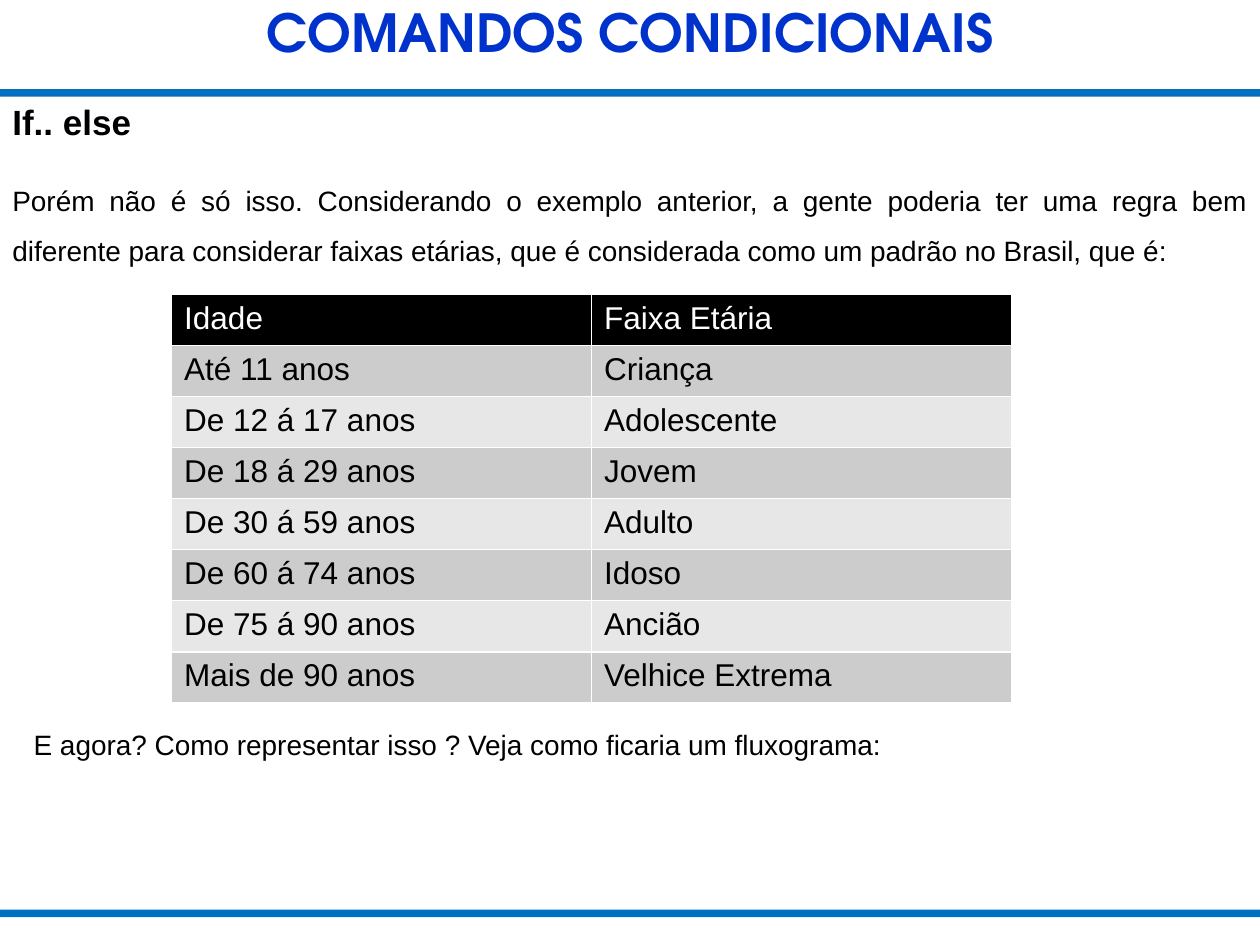
from dataclasses import dataclass

from pptx import Presentation
from pptx.dml.color import RGBColor as Color
from pptx.enum.shapes import MSO_SHAPE as Shape
from pptx.enum.text import MSO_AUTO_SIZE as AutoSize, PP_ALIGN as Align
from pptx.util import Cm, Pt


@dataclass(frozen=True)
class Theme:
    bar: str = "0070C0"
    title: str = "0033CC"
    text: str = "000000"
    header_fill: str = "000000"
    header_text: str = "FFFFFF"
    bands: tuple = ("CCCCCC", "E7E7E7")
    title_font: str = "TeX Gyre Adventor"
    body_font: str = "Arial"
    title_size: int = 30
    heading_size: int = 20
    table_size: int = 18
    body_size: int = 16


class SlideBuilder:
    def __init__(self, slide, theme):
        self.slide = slide
        self.theme = theme

    def style(self, para, size, color, font=None, bold=False):
        para.font.name = font or self.theme.body_font
        para.font.size = Pt(size)
        para.font.bold = bold
        para.font.color.rgb = Color.from_string(color)

    def bar(self, top):
        bar = self.slide.shapes.add_shape(Shape.RECTANGLE, 0, Cm(top), Cm(25.4), Cm(0.15))
        bar.shadow.inherit = False
        bar.fill.solid()
        bar.fill.fore_color.rgb = Color.from_string(self.theme.bar)
        bar.line.fill.background()

    def text_box(self, text, left, top, width, height, wrap=True):
        box = self.slide.shapes.add_textbox(Cm(left), Cm(top), Cm(width), Cm(height))
        frame = box.text_frame
        frame.word_wrap = wrap
        frame.auto_size = AutoSize.SHAPE_TO_FIT_TEXT
        frame.text = text
        return frame

    def title(self, text):
        frame = self.text_box(text, 0, 0, 25.4, 1.27)
        frame.margin_left = frame.margin_right = 0
        frame.margin_top = frame.margin_bottom = 0
        para = frame.paragraphs[0]
        para.alignment = Align.CENTER
        self.style(para, self.theme.title_size, self.theme.title, self.theme.title_font, True)

    def heading(self, text, left, top):
        frame = self.text_box(text, left, top, 2.92, 1.11, wrap=False)
        self.style(frame.paragraphs[0], self.theme.heading_size, self.theme.text, bold=True)

    def body(self, text, left, top, height):
        para = self.text_box(text, left, top, 25.4, height).paragraphs[0]
        para.alignment = Align.JUSTIFY
        para.line_spacing = 1.5
        self.style(para, self.theme.body_size, self.theme.text)

    def table(self, rows, left, top, width, row_height):
        theme = self.theme
        table = self.slide.shapes.add_table(
            len(rows), len(rows[0]), Cm(left), Cm(top), Cm(width), Cm(row_height * len(rows))
        ).table
        for row_index, row in enumerate(rows):
            if row_index == 0:
                fill, color = theme.header_fill, theme.header_text
            else:
                fill, color = theme.bands[(row_index - 1) % len(theme.bands)], theme.text
            for column_index, text in enumerate(row):
                cell = table.cell(row_index, column_index)
                cell.text = text
                cell.fill.solid()
                cell.fill.fore_color.rgb = Color.from_string(fill)
                self.style(cell.text_frame.paragraphs[0], theme.table_size, color)


AGE_GROUPS = [
    ("Idade", "Faixa Etária"),
    ("Até 11 anos", "Criança"),
    ("De 12 á 17 anos", "Adolescente"),
    ("De 18 á 29 anos", "Jovem"),
    ("De 30 á 59 anos", "Adulto"),
    ("De 60 á 74 anos", "Idoso"),
    ("De 75 á 90 anos", "Ancião"),
    ("Mais de 90 anos", "Velhice Extrema"),
]


def main():
    deck = Presentation()
    deck.slide_width, deck.slide_height = Cm(25.4), Cm(19.05)
    page = SlideBuilder(deck.slides.add_slide(deck.slide_layouts[6]), Theme())

    for top in (1.8, 18.34):
        page.bar(top)
    page.title("COMANDOS CONDICIONAIS")
    page.body(
        "Porém não é só isso. Considerando o exemplo anterior, a gente poderia ter uma "
        "regra bem diferente para considerar faixas etárias, que é considerada como um "
        "padrão no Brasil, que é:",
        0, 3.23, 2.18,
    )
    page.heading("If.. else", 0, 1.9)
    page.table(AGE_GROUPS, 3.46, 5.93, 16.93, 1.03)
    page.body("E agora? Como representar isso ? Veja como ficaria um fluxograma:", 0.43, 14.2, 1.14)

    deck.save("out.pptx")


if __name__ == "__main__":
    main()
